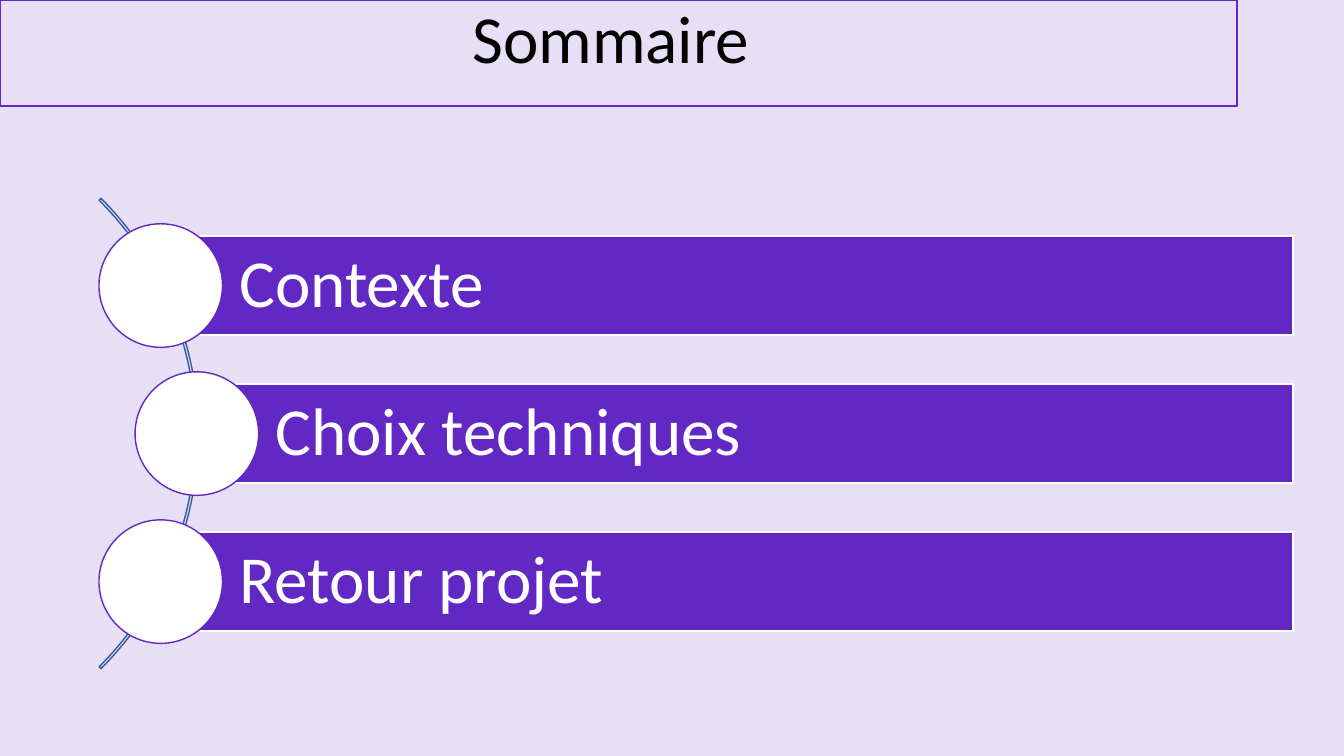
from pptx import Presentation
from pptx.dml.color import RGBColor
from pptx.enum.shapes import MSO_SHAPE as Shape
from pptx.enum.text import MSO_ANCHOR as Anchor, MSO_AUTO_SIZE as AutoSize, PP_ALIGN as Align
from pptx.util import Cm, Pt

PURPLE, LILAC, BLUE, WHITE, BLACK = "6128C4", "E7DFF6", "365B9D", "FFFFFF", "000000"
TOPICS = ["Contexte", "Choix techniques", "Retour projet"]


def color(hex_code):
    """Turn a hex string into a colour."""
    return RGBColor.from_string(hex_code)


def paint(shape, fill, line):
    """Set fill and outline; a fill of None leaves the shape hollow."""
    if fill:
        shape.fill.solid()
        shape.fill.fore_color.rgb = color(fill)
    else:
        shape.fill.background()
    shape.line.color.rgb = color(line)
    shape.line.width = Pt(1)


def write(frame, text, text_color, align, anchor):
    """Put one line of large text in a frame."""
    frame.word_wrap = True
    frame.auto_size = AutoSize.NONE
    frame.vertical_anchor = anchor
    para = frame.paragraphs[0]
    para.text = text
    para.alignment = align
    para.line_spacing = 0.9
    para.font.name = "Calibri"
    para.font.size = Pt(48)
    para.font.color.rgb = color(text_color)


def add_title(page, left, top, width, height):
    """Place the outlined title."""
    title = page.shapes.title
    title.left, title.top, title.width, title.height = map(Cm, (left, top, width, height))
    paint(title, None, PURPLE)
    write(title.text_frame, "Sommaire ", BLACK, Align.CENTER, Anchor.TOP)


def add_shape(page, kind, left, top, width, height, fill, line):
    """Add a flat preset shape, measured in centimetres."""
    shape = page.shapes.add_shape(kind, *map(Cm, (left, top, width, height)))
    shape.shadow.inherit = False
    paint(shape, fill, line)
    return shape


def add_arc(page, right, middle, size):
    """Draw a thin quarter ring bulging to the right."""
    arc = add_shape(page, Shape.BLOCK_ARC, right - size, middle - size / 2, size, size, None, BLUE)
    for index, value in enumerate((189, 27, 0.004)):
        arc.adjustments[index] = value


def add_topic(page, text, left, middle, width, height):
    """Add a topic bar with a disc centred on its left edge."""
    bar = add_shape(page, Shape.RECTANGLE, left, middle - height / 2, width, height, PURPLE, WHITE)
    frame = bar.text_frame
    frame.margin_left = Cm(1.98)
    frame.margin_right = frame.margin_top = frame.margin_bottom = Cm(0.33)
    write(frame, text, WHITE, Align.LEFT, Anchor.MIDDLE)
    size = height * 1.25
    add_shape(page, Shape.OVAL, left - size / 2, middle - size / 2, size, size, WHITE, PURPLE)


def add_agenda(page, left, top, width, height):
    """Lay the topics out along the arc inside the given box."""
    middle = top + height / 2
    pitch, bar_height, bulge = 3.73, 2.49, 0.91
    add_arc(page, left + 2.5, middle, 16.76)
    for index, topic in enumerate(TOPICS):
        step = index - len(TOPICS) // 2
        inset = 2.46 - bulge * abs(step)
        add_topic(page, topic, left + inset, middle + step * pitch, width - inset, bar_height)


def main():
    """Build the agenda slide."""
    deck = Presentation()
    deck.slide_width, deck.slide_height = Cm(33.87), Cm(19.05)
    page = deck.slides.add_slide(deck.slide_layouts[5])
    page.background.fill.solid()
    page.background.fill.fore_color.rgb = color(LILAC)
    add_title(page, 0, 0, 31.17, 2.67)
    add_agenda(page, 2.5, 5, 30.09, 11.85)
    deck.save("out.pptx")


if __name__ == "__main__":
    main()
